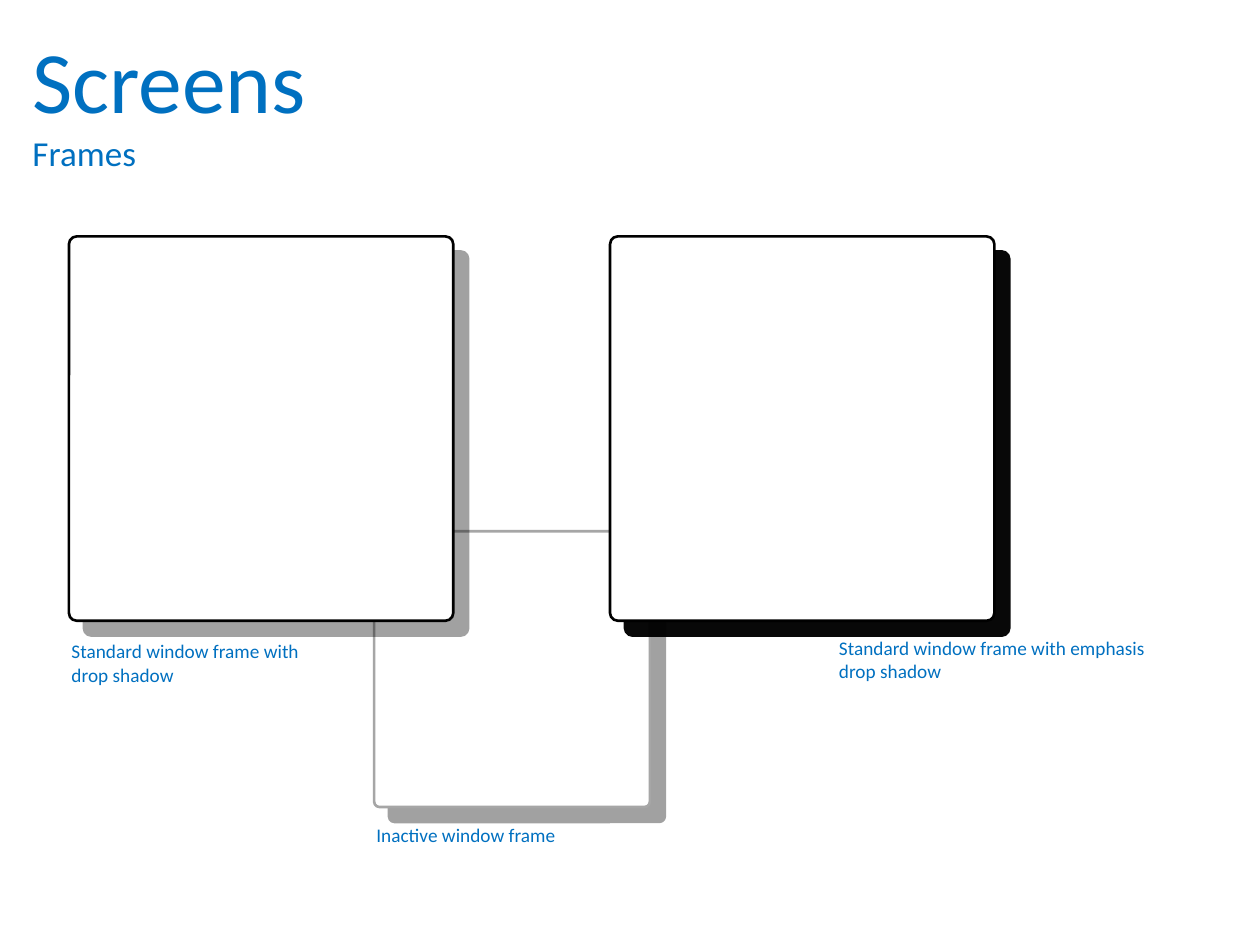
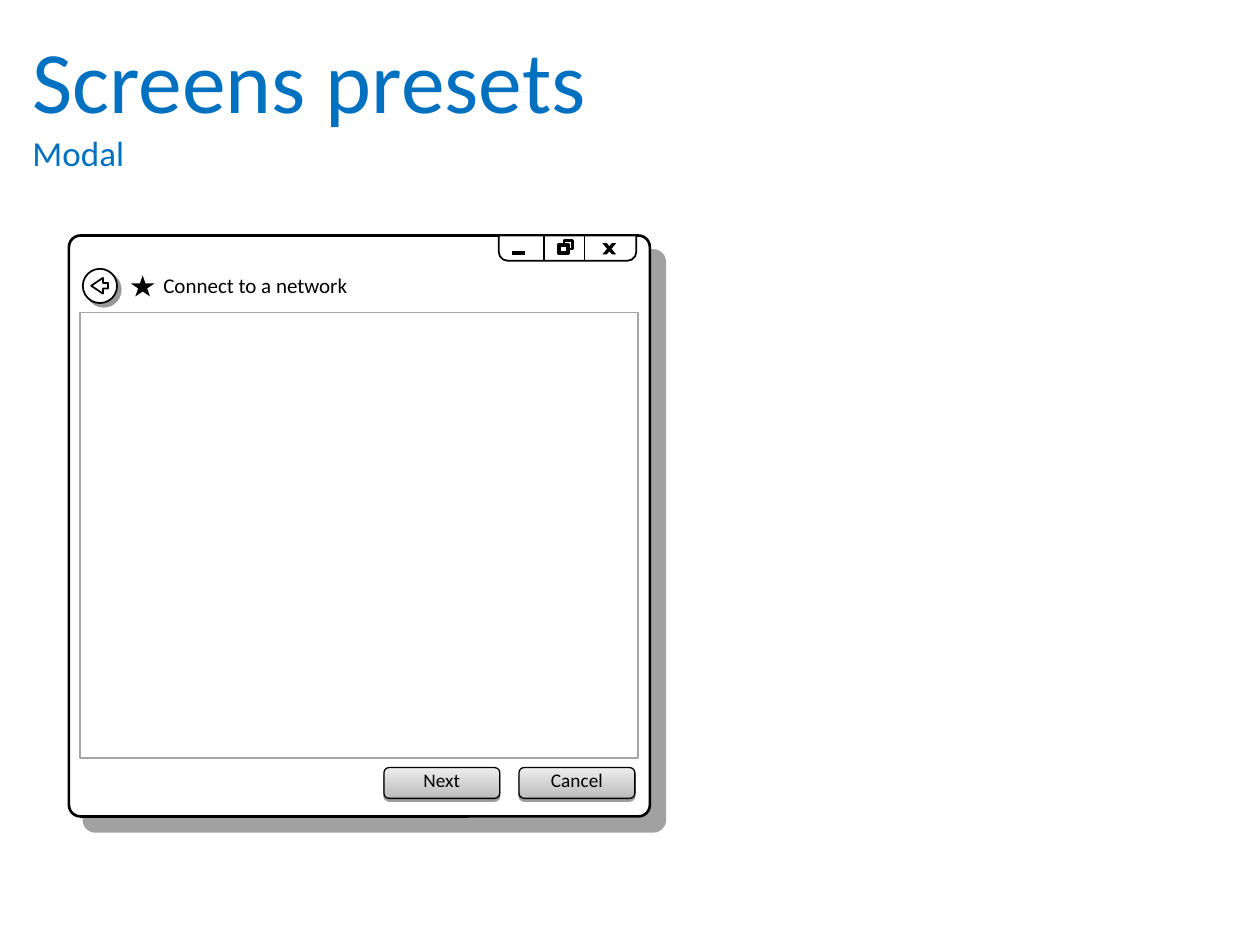
from dataclasses import dataclass
from typing import NamedTuple

from lxml import etree
from pptx import Presentation
from pptx.dml.color import RGBColor
from pptx.enum.shapes import MSO_CONNECTOR, MSO_SHAPE
from pptx.enum.text import MSO_ANCHOR, MSO_AUTO_SIZE, PP_ALIGN
from pptx.oxml.ns import qn
from pptx.util import Pt

ROUNDED = MSO_SHAPE.ROUNDED_RECTANGLE
RECTANGLE = MSO_SHAPE.RECTANGLE
OVAL = MSO_SHAPE.OVAL
LEFT_ARROW = MSO_SHAPE.LEFT_ARROW
STAR = MSO_SHAPE.STAR_5_POINT
PARALLELOGRAM = MSO_SHAPE.PARALLELOGRAM
TAB = MSO_SHAPE.ROUND_2_SAME_RECTANGLE
STRAIGHT = MSO_CONNECTOR.STRAIGHT
LEFT, CENTER = PP_ALIGN.LEFT, PP_ALIGN.CENTER
MIDDLE = MSO_ANCHOR.MIDDLE
GROW = MSO_AUTO_SIZE.SHAPE_TO_FIT_TEXT


@dataclass(frozen=True)
class Theme:
    font: str = "Calibri"
    accent: str = "0070C0"
    ink: str = "000000"
    paper: str = "FFFFFF"
    muted: str = "A6A6A6"
    button_top: str = "EDEDED"
    button_bottom: str = "BCBCBC"
    title_size: float = 50
    subtitle_size: float = 20
    heading_size: float = 12
    label_size: float = 11
    frame_line: float = 1.5
    thin_line: float = 1
    hairline: float = 0.75
    bold_line: float = 2.25
    frame_corner: float = 0.02


class Box(NamedTuple):
    left: float
    top: float
    width: float
    height: float

    def inner(self, left, top, width, height):
        return Box(self.left + left, self.top + top, width, height)


class Shadow(NamedTuple):
    opacity: int
    distance: float
    angle: int


THEME = Theme()
SOFT_SHADOW = Shadow(37, 12.1, 45)
EMPHASIS_SHADOW = Shadow(97, 12.1, 45)
ICON_SHADOW = Shadow(40, 3, 45)
BUTTON_SHADOW = Shadow(38, 1.6, 90)


def color(value):
    return RGBColor.from_string(value)


def cast_shadow(shape, shadow):
    effects = shape._element.spPr.find(qn("a:effectLst"))
    outer = etree.SubElement(
        effects, qn("a:outerShdw"), blurRad="0", dist=str(Pt(shadow.distance)),
        dir=str(shadow.angle * 60000), algn="ctr", rotWithShape="0")
    tint = etree.SubElement(outer, qn("a:srgbClr"), val=THEME.ink)
    etree.SubElement(tint, qn("a:alpha"), val=str(shadow.opacity * 1000))


def add_shape(shapes, kind, box, fill=THEME.paper, line=THEME.ink,
              width=THEME.thin_line, adjustments=(), shadow=None):
    shape = shapes.add_shape(kind, *map(Pt, box))
    for index, value in enumerate(adjustments):
        shape.adjustments[index] = value
    shape.fill.solid()
    shape.fill.fore_color.rgb = color(fill)
    if line:
        shape.line.color.rgb = color(line)
        shape.line.width = Pt(width)
    else:
        shape.line.fill.background()
    shape.shadow.inherit = False
    if shadow:
        cast_shadow(shape, shadow)
    return shape


def add_line(shapes, start, end, width):
    connector = shapes.add_connector(STRAIGHT, *map(Pt, (*start, *end)))
    connector.line.color.rgb = color(THEME.ink)
    connector.line.width = Pt(width)
    etree.SubElement(connector._element.spPr, qn("a:effectLst"))


def write(frame, lines, text_color, alignment=LEFT):
    frame.word_wrap = True
    for index, (text, size) in enumerate(lines):
        paragraph = frame.add_paragraph() if index else frame.paragraphs[0]
        paragraph.alignment = alignment
        run = paragraph.add_run()
        run.text = text
        run.font.name = THEME.font
        run.font.size = Pt(size)
        run.font.color.rgb = color(text_color)


def add_text(shapes, box, lines, text_color=THEME.accent):
    frame = shapes.add_textbox(*map(Pt, box)).text_frame
    write(frame, lines, text_color)
    frame.auto_size = GROW


def add_title(slide, title, subtitle):
    add_text(slide.shapes, Box(11.5, 11.5, 698, 91.5),
             [(title, THEME.title_size), (subtitle, THEME.subtitle_size)])


def add_frame(slide, box, shadow=SOFT_SHADOW, line=THEME.ink):
    add_shape(slide.shapes, ROUNDED, box, line=line, width=THEME.frame_line,
              adjustments=[THEME.frame_corner], shadow=shadow)


def add_caption(slide, box, text):
    add_text(slide.shapes, box, [(text, THEME.label_size)])


def add_window_controls(slide, box):
    shapes = slide.shapes.add_group_shape().shapes
    tab = add_shape(shapes, TAB, box, adjustments=[0.35, 0])
    tab.rotation = 180
    bottom = box.top + box.height
    for offset in (49, 25.8):
        x = box.left + offset
        add_line(shapes, (x, bottom), (x, box.top), THEME.hairline)
    for left, top, width in ((37.3, 2.7, THEME.frame_line), (34.4, 5.2, THEME.bold_line)):
        add_shape(shapes, RECTANGLE, box.inner(left, top, 5, 5), width=width)
    for mirrored in (False, True):
        stroke = add_shape(shapes, PARALLELOGRAM, box.inner(59.2, 4.3, 8, 6.5),
                           fill=THEME.ink, line=None, adjustments=[0.844])
        if mirrored:
            stroke._element.spPr.find(qn("a:xfrm")).set("flipH", "1")
    y = box.top + 10
    add_line(shapes, (box.left + 7.4, y), (box.left + 15.3, y), THEME.bold_line)


def add_heading(slide, box, text):
    shapes = slide.shapes.add_group_shape().shapes
    add_shape(shapes, STAR, box.inner(0, 5.5, 13.5, 12),
              fill=THEME.ink, line=None)
    add_text(shapes, box.inner(11.5, 0, box.width - 11.5, box.height),
             [(text, THEME.heading_size)], THEME.ink)


def add_back_button(slide, box):
    shapes = slide.shapes.add_group_shape().shapes
    add_shape(shapes, OVAL, box, shadow=ICON_SHADOW)
    add_shape(shapes, LEFT_ARROW, box.inner(4.8, 5.2, 9.7, 9),
              adjustments=[0.354, 0.749])


def add_button(slide, box, text):
    button = add_shape(slide.shapes, ROUNDED, box, width=THEME.hairline,
                       adjustments=[0.167], shadow=BUTTON_SHADOW)
    button.fill.gradient()
    button.fill.gradient_angle = 90
    shades = (THEME.button_bottom, THEME.button_top)
    for position, (stop, shade) in enumerate(zip(button.fill.gradient_stops, shades)):
        stop.color.rgb = color(shade)
        stop.position = position
    frame = button.text_frame
    frame.margin_top, frame.margin_bottom = Pt(0), Pt(3)
    frame.vertical_anchor = MIDDLE
    write(frame, [(text, THEME.label_size)], THEME.ink, CENTER)


def add_modal(slide, box, heading, buttons):
    add_frame(slide, box)
    add_window_controls(slide, box.inner(box.width - 86.4, 0, 78.6, 14.4))
    add_heading(slide, box.inner(35.4, 17.3, 280.5, 21.8), heading)
    add_shape(slide.shapes, RECTANGLE, box.inner(6.3, 44, 319, 254.7), line=THEME.muted)
    add_back_button(slide, box.inner(7.9, 19, 19.6, 19.6))
    for index, text in enumerate(buttons):
        add_button(slide, box.inner(180 + 77.2 * index, 304, 66.2, 17.6), text)


def build_frames_slide(slide):
    side = 219.6
    add_frame(slide, Box(213.8, 303.6, 157.6, 157.6), line=THEME.muted)
    add_title(slide, "Screens", "Frames")
    add_frame(slide, Box(39.4, 135.1, side, side))
    add_caption(slide, Box(33.8, 362, 146.2, 33.8), "Standard window frame with drop shadow")
    add_frame(slide, Box(348.6, 135.1, side, side), EMPHASIS_SHADOW)
    add_caption(slide, Box(472.3, 360, 195.8, 33.8),
                "Standard window frame with emphasis drop shadow")
    add_caption(slide, Box(208, 466.6, 146.2, 20.9), "Inactive window frame")


def build_modal_slide(slide):
    add_modal(slide, Box(39.4, 134.6, 332, 332), "Connect to a network", ["Next", "Cancel"])
    add_title(slide, "Screens presets", "Modal")


def main():
    presentation = Presentation()
    presentation.slide_width, presentation.slide_height = Pt(720), Pt(540)
    blank = presentation.slide_layouts[6]
    for build in (build_frames_slide, build_modal_slide):
        build(presentation.slides.add_slide(blank))
    presentation.save("out.pptx")


if __name__ == "__main__":
    main()
